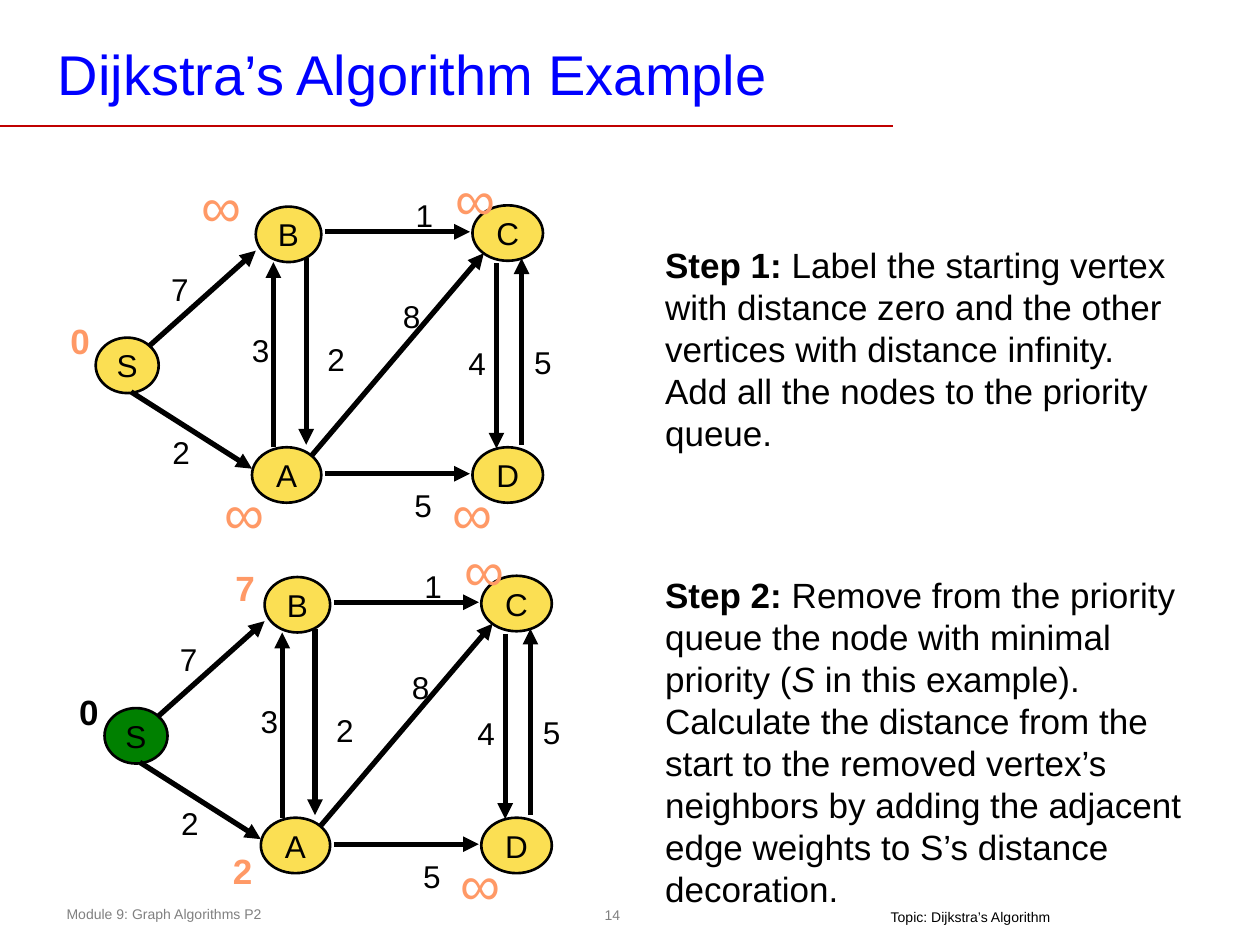
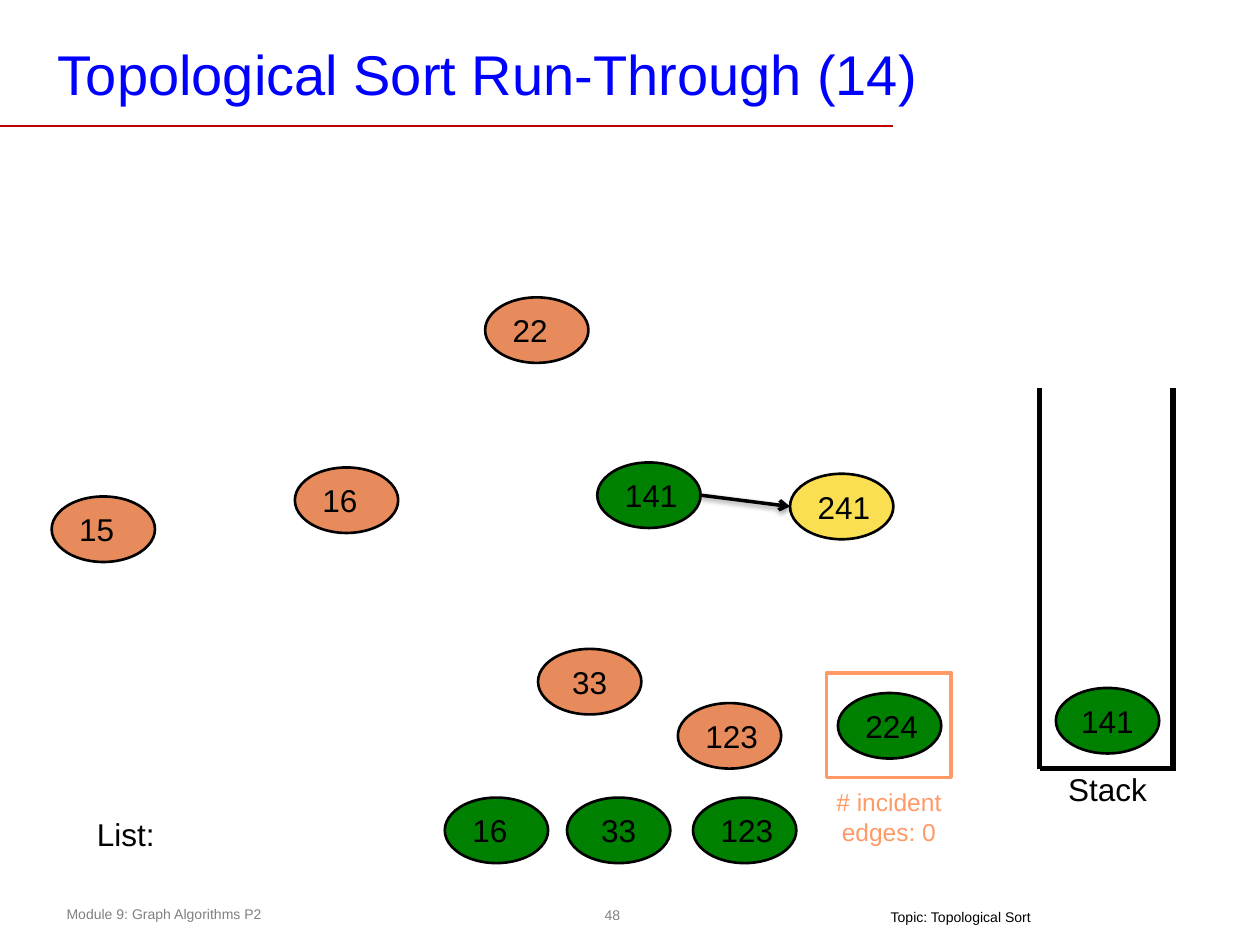
from copy import deepcopy
from typing import NamedTuple

from lxml.etree import SubElement
from pptx import Presentation
from pptx.dml.color import RGBColor
from pptx.enum.shapes import MSO_CONNECTOR, MSO_SHAPE
from pptx.enum.text import MSO_ANCHOR, MSO_AUTO_SIZE, PP_ALIGN
from pptx.oxml import parse_xml
from pptx.oxml.ns import nsdecls, qn
from pptx.util import Inches, Pt

COLORS = {
    "black": "000000", "blue": "0000FF", "red": "C00000", "gray": "808080",
    "yellow": "FBDF53", "green": "008000", "rust": "E78A5C", "peach": "FF9966",
}
FONT = "Arial"
LEFT, CENTER = PP_ALIGN.LEFT, PP_ALIGN.CENTER
GROW = {"word_wrap": True, "auto_size": MSO_AUTO_SIZE.SHAPE_TO_FIT_TEXT}
LOOSE = GROW | {"word_wrap": False}
MIDDLE = {"word_wrap": False, "vertical_anchor": MSO_ANCHOR.MIDDLE}
SIDES = ("margin_left", "margin_top", "margin_right", "margin_bottom")
SHADOW = parse_xml(
    f'<a:effectLst {nsdecls("a")}><a:outerShdw blurRad="{Pt(3.1)}" dist="{Pt(1.6)}" '
    'dir="5400000" rotWithShape="0"><a:srgbClr val="000000"><a:alpha val="38000"/>'
    '</a:srgbClr></a:outerShdw></a:effectLst>')


class Box(NamedTuple):
    left: float
    top: float
    width: float
    height: float

    def emu(self) -> list:
        return [Inches(side) for side in self]


class Run(NamedTuple):
    text: str
    form: dict = {}


class Label(NamedTuple):
    runs: tuple
    box: Box
    size: int = 18
    color: str = "black"
    align: PP_ALIGN = LEFT
    frame: dict = GROW


class Node(NamedTuple):
    text: str
    box: Box
    color: str = "yellow"
    align: PP_ALIGN = CENTER


class Edge(NamedTuple):
    start: tuple
    end: tuple
    width: float = 3
    color: str = "black"
    head: str = ""
    shadow: bool = False


def shade(name: str) -> RGBColor:
    return RGBColor.from_string(COLORS[name])


def inset(*sizes: float) -> dict:
    return {side: Inches(size) for side, size in zip(SIDES, sizes)}


def apply(target, form: dict) -> None:
    for key, value in form.items():
        setattr(target, key, value)


def write(shape, label: Label) -> None:
    frame = shape.text_frame
    apply(frame, label.frame)
    para = frame.paragraphs[0]
    para.alignment = label.align
    for part in label.runs:
        run = para.add_run()
        run.text = part.text
        apply(run.font, {"name": FONT, "size": Pt(label.size)} | part.form)
        run.font.color.rgb = shade(label.color)


def draw_label(slide, label: Label) -> None:
    write(slide.shapes.add_textbox(*label.box.emu()), label)


def draw_shape(slide, kind, box: Box, line: str, width: float, fill: str = ""):
    shape = slide.shapes.add_shape(kind, *box.emu())
    shape.shadow.inherit = False
    if fill:
        shape.fill.solid()
        shape.fill.fore_color.rgb = shade(fill)
    else:
        shape.fill.background()
    shape.line.color.rgb = shade(line)
    shape.line.width = Pt(width)
    return shape


def draw_node(slide, node: Node) -> None:
    shape = draw_shape(slide, MSO_SHAPE.OVAL, node.box, "black", 1.5, node.color)
    write(shape, Label((Run(node.text),), node.box, align=node.align, frame=MIDDLE))


def draw_edge(slide, edge: Edge) -> None:
    ends = [Inches(spot) for spot in edge.start + edge.end]
    line = slide.shapes.add_connector(MSO_CONNECTOR.STRAIGHT, *ends)
    line.line.color.rgb = shade(edge.color)
    line.line.width = Pt(edge.width)
    props = line._element.spPr
    if edge.head:
        SubElement(props.find(qn("a:ln")), qn("a:tailEnd"), type=edge.head)
    if edge.shadow:
        props.append(deepcopy(SHADOW))
    else:
        SubElement(props, qn("a:effectLst"))


def start_slide(deck, title: str, number: int, topic: str):
    """Add a blank slide with the shared title, rule and footers."""
    slide = deck.slides.add_slide(deck.slide_layouts[6])
    draw_edge(slide, Edge((0, 1), (7.09, 1), 1, "red"))
    labels = (
        Label((Run(str(number)),), Box(4.74, 7.13, 0.24, 0.26), 8, "gray", CENTER,
              MIDDLE | inset(0.04, 0.04, 0.04, 0.04)),
        Label((Run("Module 9: Graph Algorithms P2"),), Box(0.43, 7.14, 3.64, 0.24),
              8, "gray"),
        Label((Run(title),), Box(0.39, 0.28, 7.42, 0.6), 32, "blue",
              frame=GROW | {"vertical_anchor": MSO_ANCHOR.BOTTOM}
              | inset(0.07, 0.03, 0.07, 0.03)),
        Label((Run(f"Topic: {topic}"),), Box(6.97, 7.21, 1.48, 0.17), 8,
              frame=LOOSE | inset(0.1, 0, 0.1, 0.04)),
    )
    for label in labels:
        draw_label(slide, label)
    return slide


NODES = {  # left, top, width
    "S": (0.76, 2.68, 0.5), "B": (2.03, 1.64, 0.52), "A": (2, 3.55, 0.55),
    "D": (3.75, 3.55, 0.56), "C": (3.75, 1.63, 0.56),
}
EDGES = (  # start, end, weight, place of the weight
    ((1.18, 2.75), (2.03, 1.99), "7", (1.26, 2.09)),
    ((1.04, 3.11), (2, 3.72), "2", (1.27, 3.39)),
    ((2.58, 1.84), (3.73, 1.84), "1", (3.2, 1.51)),
    ((2.58, 3.76), (3.73, 3.76), "5", (3.19, 3.81)),
    ((2.47, 3.62), (3.84, 2.01), "8", (3.1, 2.31)),
    ((4.14, 3.53), (4.14, 2.05), "5", (4.14, 2.67)),
    ((2.17, 3.55), (2.17, 2.08), "3", (1.9, 2.58)),
    ((2.43, 2.05), (2.43, 3.53), "2", (2.5, 2.65)),
    ((3.94, 2.09), (3.94, 3.56), "4", (3.62, 2.68)),
)
BOLD, SLANT = {"bold": True}, {"italic": True}


def draw_graph(slide, right: float, down: float, marks: tuple, done: str = "") -> None:
    """Draw the weighted graph, moved by right and down, with its distance marks."""
    def move(spot: tuple) -> tuple:
        return spot[0] + right, spot[1] + down

    for name, (left, top, width) in NODES.items():
        color = "green" if name in done else "yellow"
        draw_node(slide, Node(name, Box(*move((left, top)), width, 0.44), color))
    for start, end, weight, spot in EDGES:
        draw_edge(slide, Edge(move(start), move(end), head="triangle"))
        draw_label(slide, Label((Run(weight),), Box(*move(spot), 0.26, 0.33), frame=LOOSE))
    for text, spot, color in marks:
        far = text == "∞"
        run = Run(text, {} if far else BOLD)
        box = Box(*move(spot), 0.43, 0.57 if far else 0.44)
        draw_label(slide, Label((run,), box, 32 if far else 20, color))


def build_paths(deck) -> None:
    slide = start_slide(deck, "Dijkstra’s Algorithm Example", 14, "Dijkstra’s Algorithm")
    draw_label(slide, Label((
        Run("Step 1: ", BOLD),
        Run("Label the starting vertex with distance zero and the other vertices with "
            "distance infinity. Add all the nodes to the priority queue."),
    ), Box(5.18, 1.88, 4.32, 1.78), 20))
    draw_label(slide, Label((
        Run("Step 2: ", BOLD),
        Run("Remove from the priority queue the node with minimal priority ("),
        Run("S ", SLANT),
        Run("in this example). Calculate the distance from the start to the removed "
            "vertex’s neighbors by adding the adjacent edge weights to S’s distance "
            "decoration."),
    ), Box(5.18, 4.5, 4.32, 2.79), 20))
    ends = (("∞", (3.52, 1.26), "peach"), ("∞", (3.49, 3.75), "peach"))
    first = (("0", (0.46, 2.49), "peach"), ("∞", (1.5, 1.31), "peach"),
             ("∞", (1.68, 3.75), "peach"))
    second = (("0", (0.46, 2.49), "black"), ("7", (1.7, 1.51), "peach"),
              ("2", (1.68, 3.75), "peach"))
    draw_graph(slide, 0, 0, first + ends)
    draw_graph(slide, 0.07, 2.94, second + ends, "S")


def build_sort(deck) -> None:
    slide = start_slide(deck, "Topological Sort Run-Through (14)", 48, "Topological Sort")
    nodes = (  # text, left, top, color, alignment
        ("33", 4.27, 5.15, "rust", CENTER), ("16", 2.34, 3.71, "rust", LEFT),
        ("15", 0.41, 3.94, "rust", LEFT), ("123", 5.38, 5.58, "rust", LEFT),
        ("224", 6.65, 5.5, "green", LEFT), ("141", 4.74, 3.67, "green", LEFT),
        ("241", 6.27, 3.76, "yellow", LEFT), ("22", 3.85, 2.36, "rust", LEFT),
        ("16", 3.53, 6.33, "green", LEFT), ("33", 4.5, 6.33, "green", CENTER),
        ("123", 5.5, 6.33, "green", LEFT), ("141", 8.38, 5.46, "green", CENTER),
    )
    for text, left, top, color, align in nodes:
        draw_node(slide, Node(text, Box(left, top, 0.82, 0.52), color, align))
    draw_edge(slide, Edge((5.56, 3.93), (6.27, 4.02), 2, head="arrow", shadow=True))
    draw_edge(slide, Edge((8.25, 6.1), (9.33, 6.1)))
    for wall in (8.25, 9.31):
        draw_edge(slide, Edge((wall, 6.1), (wall, 3.08)))
    draw_shape(slide, MSO_SHAPE.RECTANGLE, Box(6.56, 5.34, 0.99, 0.83), "peach", 2)
    labels = (
        Label((Run("Stack"),), Box(8.08, 6.06, 1.42, 0.4), align=CENTER),
        Label((Run("List:"),), Box(0.67, 6.42, 1.08, 0.4)),
        Label((Run("# incident edges: 0"),), Box(6.41, 6.2, 1.29, 0.57), 14, "peach",
              CENTER),
    )
    for label in labels:
        draw_label(slide, label)


def main() -> None:
    deck = Presentation()
    deck.slide_width, deck.slide_height = Inches(10), Inches(7.5)
    build_paths(deck)
    build_sort(deck)
    deck.save("out.pptx")


if __name__ == "__main__":
    main()
